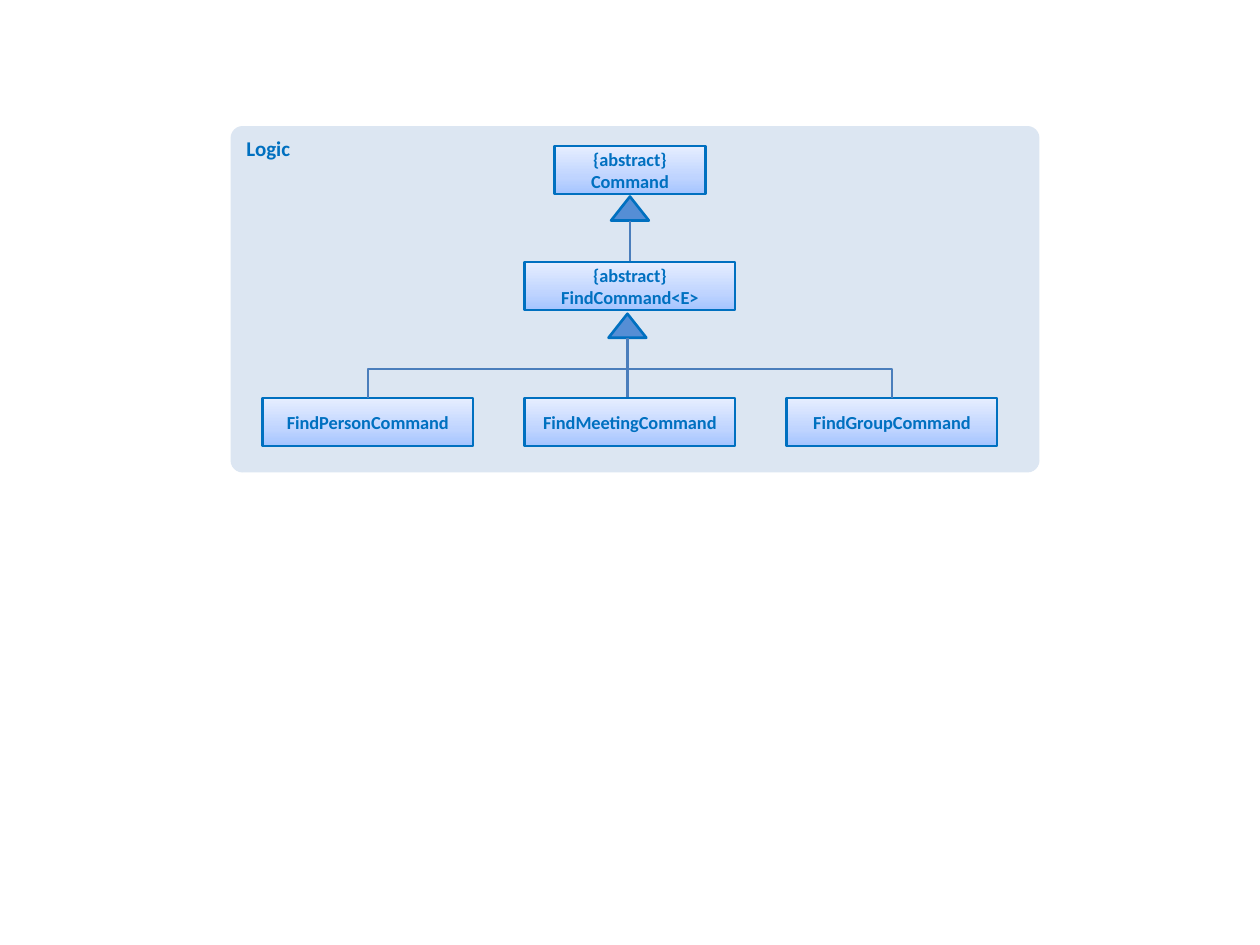
from copy import deepcopy

from lxml.etree import SubElement
from pptx import Presentation
from pptx.dml.color import RGBColor
from pptx.enum.shapes import MSO_CONNECTOR, MSO_SHAPE
from pptx.enum.text import MSO_ANCHOR, PP_ALIGN
from pptx.oxml.ns import qn
from pptx.util import Inches, Pt

BLUE = "0070C0"
LINK = "4B7EBC"
GRADIENT = ((0, "A4C4FF"), (0.35, "BFD4FF"), (1, "E6EEFF"))
BOX_HEIGHT = 0.38
BOX_WIDTH = 1.67
COLUMN_STEP = 2.08


def color(hex_text):
    """Turn a hex string into a colour."""
    return RGBColor.from_string(hex_text)


def write(shape, text, size=10.5, align=PP_ALIGN.CENTER, anchor=MSO_ANCHOR.MIDDLE):
    """Write one paragraph per line of text into a shape."""
    frame = shape.text_frame
    frame.word_wrap = True
    frame.vertical_anchor = anchor
    for index, line in enumerate(text.split("\n")):
        para = frame.paragraphs[0] if index == 0 else frame.add_paragraph()
        para.alignment = align
        span = para.add_run()
        span.text = line
        span.font.name = "Calibri"
        span.font.size = Pt(size)
        span.font.bold = True
        span.font.color.rgb = color(BLUE)


def add_block(page, kind, left, top, width, height, fill=None, line=None):
    """Add a preset shape without shadow, with optional fill and outline."""
    shape = page.shapes.add_shape(
        kind, Inches(left), Inches(top), Inches(width), Inches(height))
    shape.shadow.inherit = False
    if fill:
        shape.fill.solid()
        shape.fill.fore_color.rgb = color(fill)
    if line:
        shape.line.color.rgb = color(line)
        shape.line.width = Pt(1.5)
    else:
        shape.line.fill.background()
    return shape


def shade(shape):
    """Fill a shape with the three-stop gradient, darkest at the bottom."""
    shape.fill.gradient()
    shape.fill.gradient_angle = 90
    stop_list = shape._element.spPr.find(".//" + qn("a:gsLst"))
    stop_list.insert(1, deepcopy(stop_list[0]))
    for stop, (position, hex_text) in zip(shape.fill.gradient_stops, GRADIENT):
        stop.position = position
        stop.color.rgb = color(hex_text)


def add_class(page, center, top, text, width=BOX_WIDTH):
    """Add a class box centred on a column."""
    box = add_block(page, MSO_SHAPE.RECTANGLE, center - width / 2, top,
                    width, BOX_HEIGHT, line=BLUE)
    shade(box)
    write(box, text)


def add_link(page, start, end, weight=1.5):
    """Link two points, straight down or across and then down."""
    bent = start[0] != end[0]
    kind = MSO_CONNECTOR.ELBOW if bent else MSO_CONNECTOR.STRAIGHT
    link = page.shapes.add_connector(kind, *map(Inches, start + end))
    link.line.color.rgb = color(LINK)
    link.line.width = Pt(weight)
    properties = link._element.spPr
    if bent:
        properties.find(qn("a:prstGeom")).set("prst", "bentConnector2")
    SubElement(properties, qn("a:effectLst"))


def add_inheritance(page, center, top, bottom):
    """Add the triangle under a parent class and the stem below it."""
    width, height = 0.3, 0.19
    add_block(page, MSO_SHAPE.ISOSCELES_TRIANGLE, center - width / 2, top,
              width, height, fill="558ED5", line=BLUE)
    add_link(page, (center, top + height), (center, bottom))


def add_logic_diagram(page, left, top, width, height):
    """Draw the Logic panel and its class hierarchy."""
    panel = add_block(page, MSO_SHAPE.ROUNDED_RECTANGLE, left, top, width, height,
                      fill="DCE6F2")
    panel.adjustments[0] = 0.035
    write(panel, "Logic", size=12, align=PP_ALIGN.LEFT, anchor=MSO_ANCHOR.TOP)

    center = left + 3.17
    root_top, parent_top, child_top = top + 0.16, top + 1.08, top + 2.16
    branch_x, branch_y = center - 0.02, top + 1.93

    add_inheritance(page, center, root_top + 0.4, parent_top)
    add_inheritance(page, branch_x, parent_top + 0.41, child_top)
    add_class(page, center, root_top, "{abstract}\nCommand", width=1.2)
    add_class(page, center, parent_top, "{abstract}\nFindCommand<E>")

    for column, name in enumerate(("Person", "Meeting", "Group"), start=-1):
        child_center = center + column * COLUMN_STEP
        add_class(page, child_center, child_top, f"Find{name}Command")
        if column:
            add_link(page, (branch_x, branch_y), (child_center, child_top), weight=1.25)


deck = Presentation()
deck.slide_width, deck.slide_height = Inches(10), Inches(7.5)
page = deck.slides.add_slide(deck.slide_layouts[6])
add_logic_diagram(page, 1.83, 1, 6.42, 2.75)
deck.save("out.pptx")
